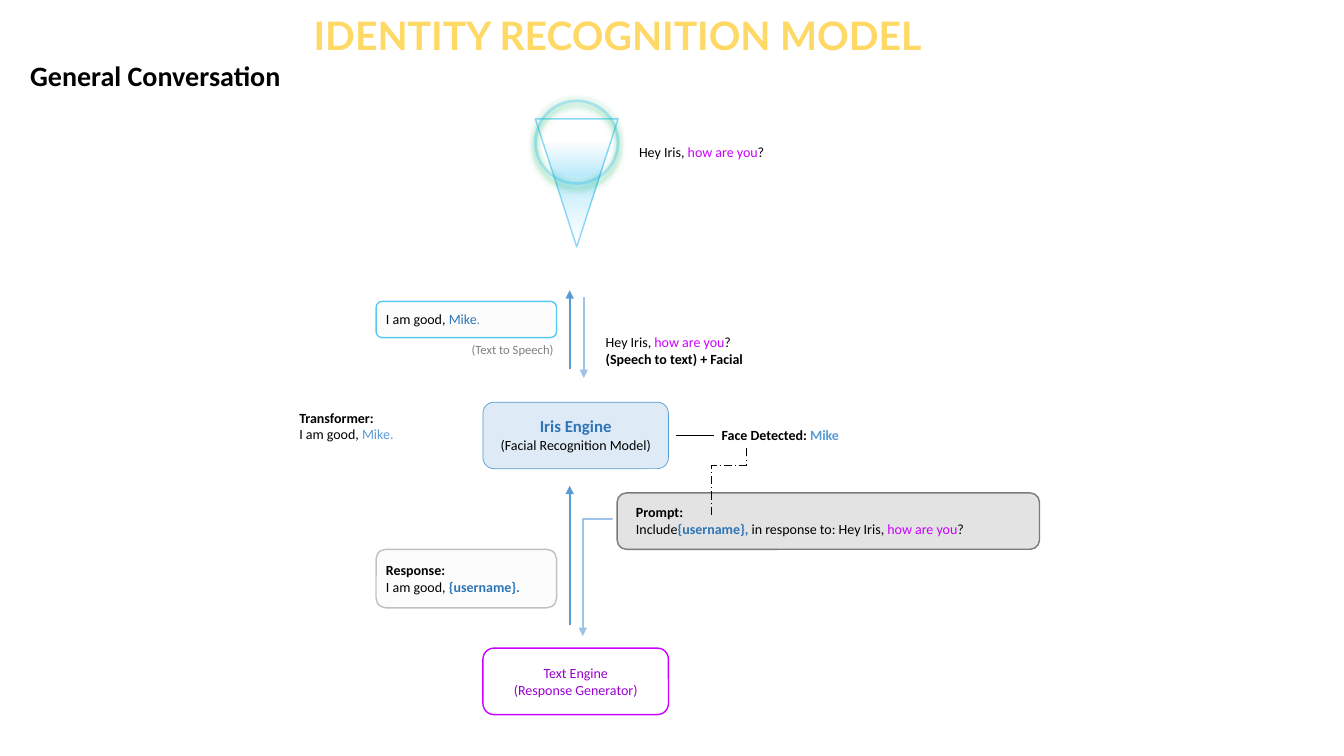
import copy
import pptx
import pptx.dml.color
import pptx.enum.dml
import pptx.enum.shapes
import pptx.enum.text
import pptx.util
from lxml import etree

Inches = pptx.util.Inches
Pt = pptx.util.Pt
KIND = pptx.enum.shapes.MSO_SHAPE
LINK = pptx.enum.shapes.MSO_CONNECTOR
ALIGN = pptx.enum.text.PP_ALIGN
DASH = pptx.enum.dml.MSO_LINE
NS = "http://schemas.openxmlformats.org/drawingml/2006/main"

BLACK, WHITE, GREY = "000000", "FFFFFF", "7A7A7A"
CYAN, PINK, PURPLE = "00B0F0", "CC00FF", "9900CC"
NAVY, BLUE, SKY, PALE = "2E75B6", "5B9BD5", "9DC3E6", "DEEBF7"
ASH, GOLD, GREEN = "A5A5A5", "FFD966", "00B050"


def tint(text):
    return pptx.dml.color.RGBColor.from_string(text)


def node(above, tag, **attrs):
    """Add a DrawingML element below another one."""
    return etree.SubElement(above, f"{{{NS}}}{tag}", {k: str(v) for k, v in attrs.items()})


def fade(above, alpha):
    """Set the opacity, in percent, of the first colour below an element."""
    if alpha < 100:
        node(above.find(f".//{{{NS}}}srgbClr"), "alpha", val=alpha * 1000)


class Board:
    face = "Calibri"

    def __init__(self, deck):
        self.slide = deck.slides.add_slide(deck.slide_layouts[6])
        self.shapes = self.slide.shapes

    def stroke(self, line, color, width, alpha=100):
        line.color.rgb = tint(color)
        line.width = Pt(width)
        fade(line._ln, alpha)

    def shape(self, kind, place, color, width=1, fill=None, solid=100, clear=100):
        """Draw a preset shape; solid and clear are fill and line opacity."""
        item = self.shapes.add_shape(kind, *map(Inches, place))
        item.shadow.inherit = False
        if fill:
            item.fill.solid()
            item.fill.fore_color.rgb = tint(fill)
            fade(item._element.spPr.find(f"{{{NS}}}solidFill"), solid)
        else:
            item.fill.background()
        self.stroke(item.line, color, width, clear)
        return item

    def box(self, place, color, **look):
        return self.shape(KIND.ROUNDED_RECTANGLE, place, color, **look)

    def beam(self, place, stops):
        item = self.shape(KIND.ISOSCELES_TRIANGLE, place, CYAN, clear=45)
        item.rotation = 180
        props = item._element.spPr
        grad = etree.Element(f"{{{NS}}}gradFill", rotWithShape="1")
        props.replace(props.find(f"{{{NS}}}noFill"), grad)
        row = node(grad, "gsLst")
        for spot, alpha in stops:
            stop = node(row, "gs", pos=spot * 1000)
            node(node(stop, "srgbClr", val=CYAN), "alpha", val=alpha * 1000)
        node(grad, "lin", ang=270 * 60000, scaled=0)

    def ring(self, place):
        item = self.shape(KIND.OVAL, place, CYAN, 2, clear=25)
        effects = item._element.spPr.find(f"{{{NS}}}effectLst")
        glow = node(effects, "glow", rad=Pt(4))
        node(node(glow, "srgbClr", val=GREEN), "alpha", val=8000)
        shade = node(effects, "outerShdw", blurRad=Pt(4), dist=Pt(4),
                     dir=90 * 60000, algn="t", rotWithShape=0)
        node(shade, "srgbClr", val=GREEN)

    def text(self, place, *rows, size=10, align=ALIGN.LEFT, face=None):
        """Write rows of (text, colour, bold) runs; a None run breaks the line."""
        frame = self.shapes.add_textbox(*map(Inches, place)).text_frame
        frame.word_wrap = True
        for i, row in enumerate(rows):
            para = frame.add_paragraph() if i else frame.paragraphs[0]
            para.alignment = align
            for part in row:
                if part is None:
                    para.add_line_break()
                    para._p[-1].append(copy.deepcopy(para.runs[-1]._r.rPr))
                    continue
                words, color, bold = part
                run = para.add_run()
                run.text = words
                style = {"name": face or self.face, "size": Pt(size), "bold": bold}
                for key, value in style.items():
                    setattr(run.font, key, value)
                run.font.color.rgb = tint(color)

    def line(self, start, end, color, width, head=False, kind=LINK.STRAIGHT):
        item = self.shapes.add_connector(kind, *map(Inches, start + end))
        node(item._element.spPr, "effectLst")
        self.stroke(item.line, color, width)
        if head:
            node(item.line._ln, "tailEnd", type="triangle")
        return item

    def bend(self, place, bend, color, width, head=False, flip=False):
        """Draw an elbow turned by 90 degrees, given its frame before the turn."""
        x, y, w, h = place
        item = self.line((x, y), (x + w, y + h), color, width, head, LINK.ELBOW)
        props = item._element.spPr
        frame = props.find(f"{{{NS}}}xfrm")
        frame.set("rot", str(90 * 60000))
        if flip:
            frame.set("flipH", "1")
            frame.set("flipV", "1")
        guides = props.find(f".//{{{NS}}}avLst")
        node(guides, "gd", name="adj1", fmla=f"val {round(bend * 100000)}")
        return item


def plain(words, color=BLACK):
    return words, color, False


def bold(words, color=BLACK):
    return words, color, True


def main():
    deck = pptx.Presentation()
    deck.slide_width, deck.slide_height = Inches(13.33), Inches(7.5)
    board = Board(deck)
    ask = [plain("Hey Iris, "), plain("how are you", PINK), plain("?")]
    good = plain("I am good, ")
    mid = ALIGN.CENTER

    board.box((3.73, 2.99, 1.79, 0.36), CYAN, fill=ASH, solid=3, clear=65)
    board.box((3.73, 5.45, 1.79, 0.58), GREY, fill=ASH, solid=3, clear=45)
    board.box((6.12, 4.89, 4.19, 0.56), GREY, fill=ASH, solid=30)
    board.beam((5.31, 1.18, 0.82, 1.27), [(18, 0), (44, 26), (94, 0)])
    board.box((4.79, 6.43, 1.84, 0.66), PINK, fill=WHITE)
    board.box((4.79, 3.99, 1.84, 0.66), BLUE, width=0.5, fill=PALE)

    board.text((0.2, 0.53, 3.01, 0.44), [bold("General Conversation")], size=20)
    board.text((6.24, 1.37, 2.77, 0.27), ask)
    board.text((5.91, 3.26, 2.77, 0.44), ask, [bold("(Speech to text) + Facial")])
    board.text((3.73, 3.03, 1.84, 0.27), [good, plain("Mike", NAVY), plain(".", BLUE)])
    board.text((4.79, 4.08, 1.84, 0.47),
               [bold("Iris Engine", NAVY), None, plain("(Facial Recognition Model)")],
               align=mid)
    title = board.shapes[-1].text_frame.paragraphs[0].runs[0]
    title.font.size = Pt(12)
    board.text((2.87, 4.01, 1.84, 0.44), [bold("Transformer:")], [good, plain("Mike.", BLUE)])
    board.text((7.06, 4.18, 1.52, 0.27), [bold("Face Detected: "), bold("Mike", BLUE)])
    board.text((6.21, 4.95, 4.13, 0.44), [bold("Prompt:")],
               [plain("Include"), bold("{username}, ", NAVY), plain("in response to: Hey Iris, "),
                *ask[1:]])
    board.text((3.73, 5.52, 1.85, 0.44), [bold("Response:")], [good, bold("{username}.", NAVY)])
    board.text((4.79, 6.54, 1.84, 0.44),
               [plain("Text Engine", PURPLE), None, plain("(Response Generator)", PURPLE)],
               align=mid)

    board.ring((5.31, 1, 0.82, 0.82))
    for x, low, high, color in [(5.65, 3.66, 2.88, BLUE), (5.79, 2.95, 3.75, SKY),
                                (5.65, 6.2, 4.82, BLUE)]:
        board.line((x, low), (x, high), color, 1.5, head=True)
    board.line((6.7, 4.32), (7.08, 4.32), BLACK, 0.75)
    trace = board.bend((6.9, 4.61, 0.66, 0.34), 0.75, BLACK, 0.75, flip=True)
    trace.line.dash_style = DASH.LONG_DASH_DOT
    board.text((4.58, 3.34, 1.04, 0.25), [plain("(Text to Speech)", "808080")], size=9)
    board.bend((5.34, 5.58, 1.17, 0.29), 0.01, SKY, 1.5, head=True)
    board.text((2.79, 0.06, 6.67, 0.57), [bold("IDENTITY RECOGNITION MODEL", GOLD)],
               size=28, align=mid, face="Lato")
    deck.save("out.pptx")


if __name__ == "__main__":
    main()
